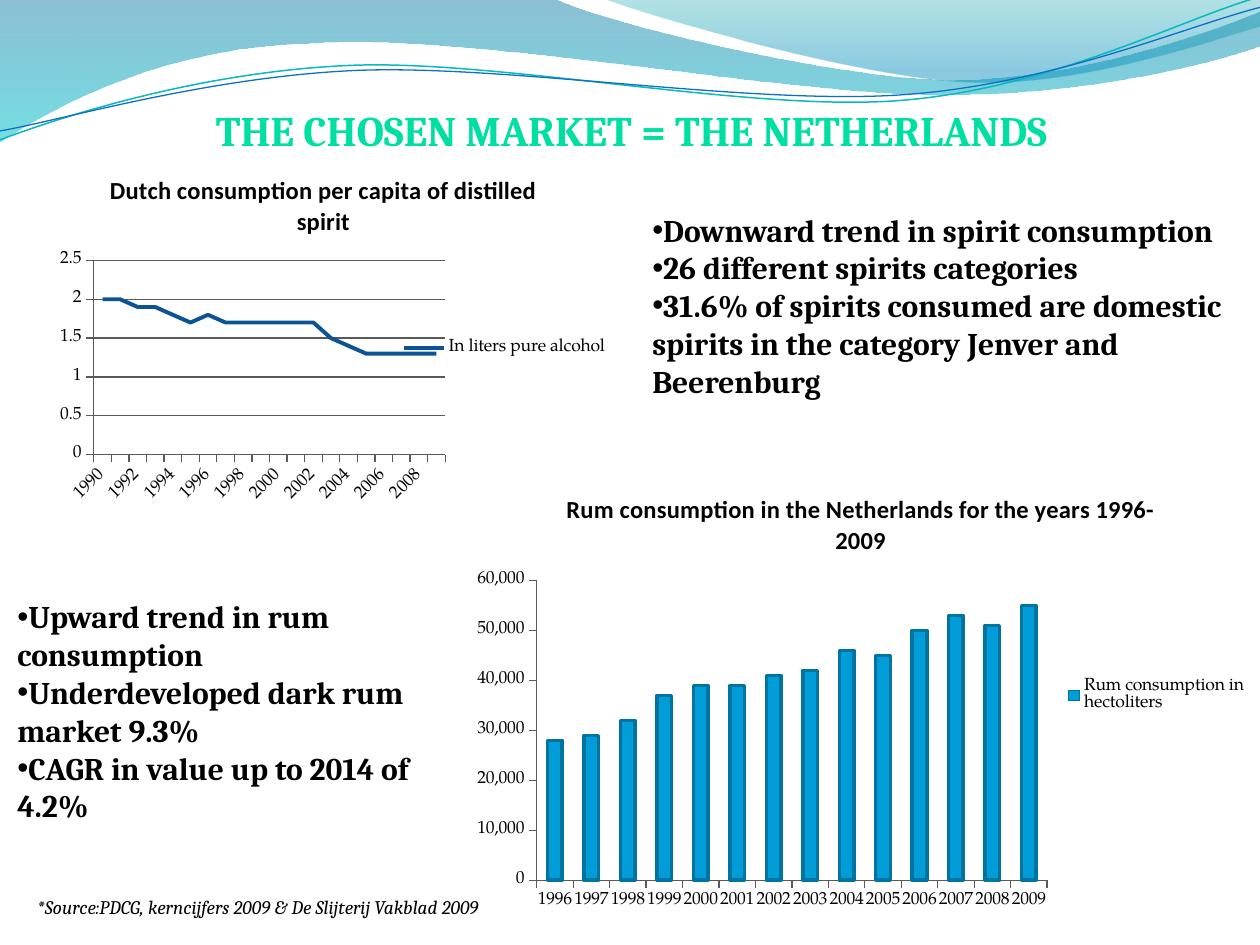
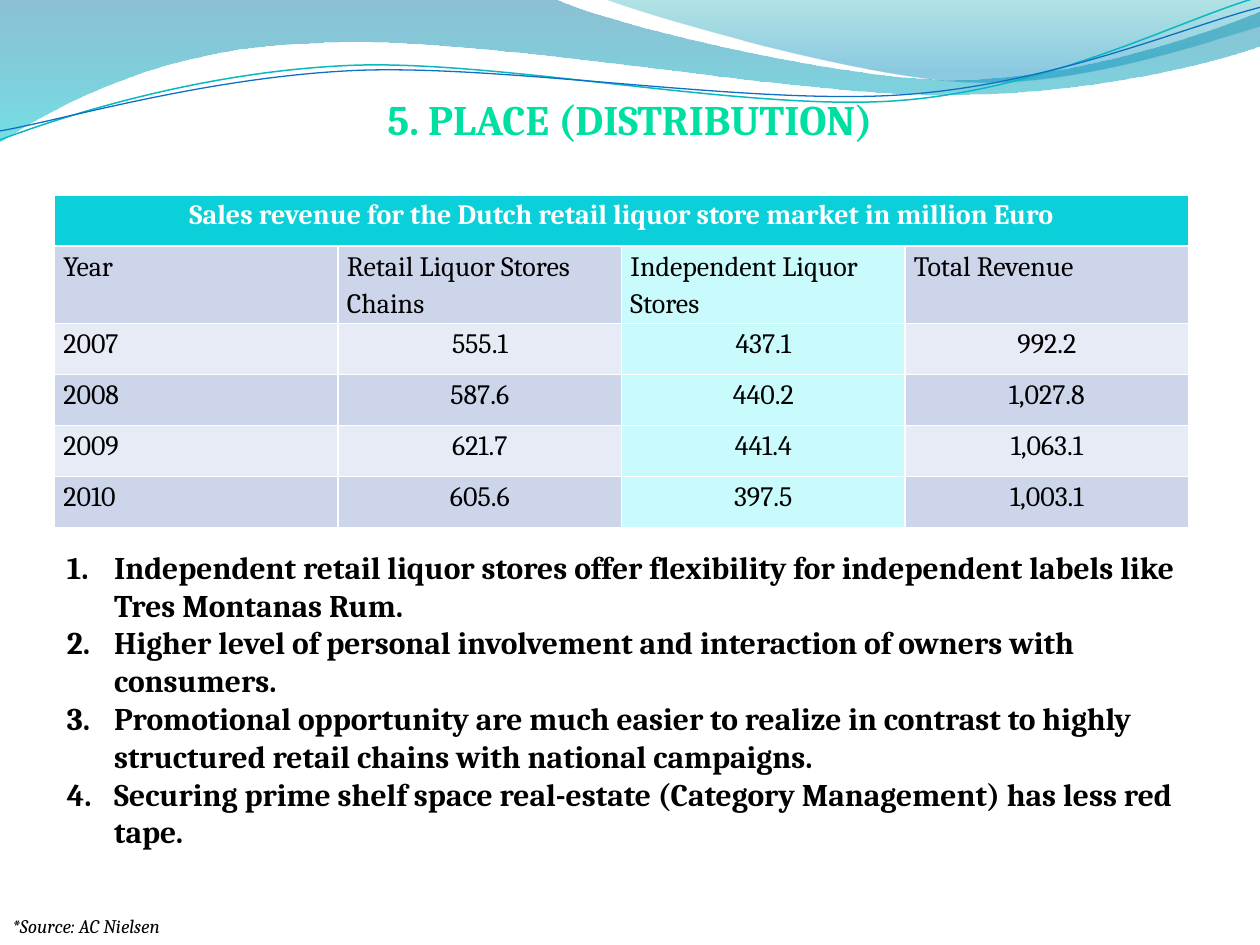
from dataclasses import dataclass

from lxml.etree import SubElement
from pptx import Presentation
from pptx.chart.data import CategoryChartData
from pptx.dml.color import RGBColor
from pptx.enum.chart import XL_CHART_TYPE, XL_LEGEND_POSITION, XL_MARKER_STYLE, XL_TICK_MARK
from pptx.enum.text import MSO_ANCHOR, PP_ALIGN
from pptx.oxml.ns import qn
from pptx.util import Cm, Pt


@dataclass(frozen=True)
class Theme:
    serif: str = "Cambria"
    chart_font: str = "TeX Gyre Pagella"
    chart_title_font: str = "Calibri"
    bullet_font: str = "Arial"
    title_size: int = 24
    body_size: int = 18
    table_size: int = 16
    chart_title_size: int = 14
    source_size: int = 11
    chart_size: int = 10
    ink: str = "000000"
    white: str = "FFFFFF"
    title: str = "00DFA2"
    axis: str = "595959"
    line_series: str = "0B5394"
    bar: str = "009DD9"
    bar_edge: str = "0074A1"
    header: str = "0BD0D9"
    dark_row: str = "CCD5EA"
    light_row: str = "E7EBF5"
    highlight: str = "C9FAFC"


THEME = Theme()
SLIDE_WIDTH, SLIDE_HEIGHT = 25.4, 19.05

# Outlines in cm: a pair is a straight step, three pairs are a Bezier step.
BANDS = [
    {
        "start": (0, 0),
        "steps": [
            [(11.18, -0.03)],
            [(12.09, 0.43), (16.87, 1.6), (19.25, 1.6)],
            [(21.67, 1.6), (24.33, 0.66), (25.4, 0.23)],
            [(25.43, 0.91)],
            [(24.97, 1.12), (22.1, 1.93), (18.95, 1.91)],
            [(15.8, 1.91), (9.7, 0.71), (6.53, 0.86)],
            [(3.28, 0.91), (1.17, 2.11), (-0.03, 2.87)],
        ],
        "stops": [(0, "0074A1", 45), (1, "00C6CF", 55)],
    },
    {
        "start": (12.17, -0.03),
        "steps": [
            [(12.93, 0.28), (17.32, 1.57), (19.53, 1.65)],
            [(21.74, 1.75), (24.41, 0.81), (25.4, 0.53)],
            [(25.4, 0)],
        ],
        "stops": [(0, "00A1A9", 30), (0.8, "008BBF", 45)],
    },
]
WAVES = [
    {
        "start": (0, 2.82),
        "steps": [
            [(1.22, 2.36), (4.01, 1.45), (7.04, 1.32)],
            [(10.03, 1.19), (15.06, 2.26), (18.11, 2.03)],
            [(21.16, 1.8), (23.83, 0.38), (25.35, -0.05)],
        ],
        "color": "0AB8BF", "width": 0.85,
    },
    {
        "start": (0, 2.64),
        "steps": [
            [(1.19, 2.44), (4.17, 1.55), (7.19, 1.42)],
            [(10.24, 1.3), (15.16, 2.13), (18.21, 1.91)],
            [(21.23, 1.7), (23.9, 0.53), (25.4, 0.15)],
        ],
        "color": "0F6FC6", "width": 0.75,
    },
]

MARKET_TITLE = "THE CHOSEN MARKET = THE NETHERLANDS"
SPIRIT_POINTS = [
    "Downward trend in spirit consumption",
    "26 different spirits categories",
    "31.6% of spirits consumed are domestic spirits in the category Jenver and Beerenburg",
]
RUM_POINTS = [
    "Upward trend in rum consumption",
    "Underdeveloped dark rum market 9.3%",
    "CAGR in value up to 2014 of 4.2%",
]
MARKET_SOURCE = "*Source:PDCG, kerncijfers 2009 & De Slijterij Vakblad 2009"
SPIRIT_CONSUMPTION = {
    "title": "Dutch consumption per capita of distilled spirit",
    "series": "In liters pure alcohol",
    "first_year": 1990,
    "values": [2, 2, 1.9, 1.9, 1.8, 1.7, 1.8, 1.7, 1.7, 1.7,
               1.7, 1.7, 1.7, 1.5, 1.4, 1.3, 1.3, 1.3, 1.3, 1.3],
    "format": "General",
}
RUM_CONSUMPTION = {
    "title": "Rum consumption in the Netherlands for the years 1996-2009",
    "series": "Rum consumption in hectoliters",
    "first_year": 1996,
    "values": [28000, 29000, 32000, 37000, 39000, 39000, 41000,
               42000, 46000, 45000, 50000, 53000, 51000, 55000],
    "format": "#,##0",
}

PLACE_TITLE = "5. PLACE (DISTRIBUTION)"
REVENUE_HEADING = "Sales revenue for the Dutch retail liquor store market in million Euro"
REVENUE_ROWS = [
    ("Year", "Retail Liquor Stores Chains", "Independent Liquor Stores", "Total Revenue"),
    ("2007", "555.1", "437.1", "992.2"),
    ("2008", "587.6", "440.2", "1,027.8"),
    ("2009", "621.7", "441.4", "1,063.1"),
    ("2010", "605.6", "397.5", "1,003.1"),
]
INDEPENDENT_COLUMN = 2
STORE_ADVANTAGES = [
    "Independent retail liquor stores offer flexibility for independent labels like Tres Montanas Rum.",
    "Higher level of personal involvement and interaction of owners with consumers.",
    "Promotional opportunity are much easier to realize in contrast to highly structured "
    "retail chains with national campaigns.",
    "Securing prime shelf space real-estate (Category Management) has less red tape.",
]
PLACE_SOURCE = "*Source: AC Nielsen"


def rgb(color):
    return RGBColor.from_string(color)


def set_font(font, size, color=THEME.ink, name=THEME.serif, bold=False, italic=False):
    font.name, font.size, font.bold, font.italic = name, Pt(size), bold, italic
    font.color.rgb = rgb(color)


def add_outline(slide, outline, close):
    """Draw straight segments through all points, then turn each triple into one curve."""
    steps = outline["steps"]
    builder = slide.shapes.build_freeform(*map(Cm, outline["start"]))
    builder.add_line_segments([(Cm(x), Cm(y)) for step in steps for x, y in step], close=close)
    shape = builder.convert_to_shape()
    shape.shadow.inherit = False
    segments = iter(list(shape.element.spPr.iter(qn("a:lnTo"))))
    for step in steps:
        first, *others = [next(segments) for _ in step]
        if others:
            first.tag = qn("a:cubicBezTo")
            for segment in others:
                first.append(segment[0])
                segment.getparent().remove(segment)
    return shape


def add_waves(slide):
    for band in BANDS:
        shape = add_outline(slide, band, close=True)
        shape.line.fill.background()
        shape.fill.gradient()
        shape.fill.gradient_angle = 270
        for stop, (position, color, _) in zip(shape.fill.gradient_stops, band["stops"]):
            stop.position = position
            stop.color.rgb = rgb(color)
        colors = shape.element.spPr.iter(qn("a:srgbClr"))
        for color, (_, _, opacity) in zip(colors, band["stops"]):
            SubElement(color, qn("a:alpha"), val=str(opacity * 1000))
    for wave in WAVES:
        shape = add_outline(slide, wave, close=False)
        shape.fill.background()
        shape.line.color.rgb = rgb(wave["color"])
        shape.line.width = Pt(wave["width"])


def add_text(slide, box, lines, size, markers=(), indent=0, **style):
    """Add a text box; markers are the tags and attributes of its bullet elements."""
    frame = slide.shapes.add_textbox(*map(Cm, box)).text_frame
    frame.word_wrap = True
    frame.text = "\n".join(lines)
    for paragraph in frame.paragraphs:
        if markers:
            properties = paragraph._p.get_or_add_pPr()
            properties.set("marL", str(Cm(indent)))
            properties.set("indent", str(-Cm(indent)))
            for tag, attributes in markers:
                SubElement(properties, qn(tag), **attributes)
        set_font(paragraph.font, size, **style)
        for run in paragraph.runs:
            set_font(run.font, size, **style)
    return frame


def add_bullets(slide, box, points):
    markers = [("a:buFont", {"typeface": THEME.bullet_font}), ("a:buChar", {"char": "•"})]
    add_text(slide, box, points, THEME.body_size, markers, bold=True)


def add_source(slide, left, top, source):
    add_text(slide, (left, top, 18.2, 0.74), [source], THEME.source_size, italic=True)


def start_slide(deck, title, left, bottom):
    slide = deck.slides.add_slide(deck.slide_layouts[6])
    add_waves(slide)
    frame = add_text(slide, (left, 0, 22.86, bottom), [title], THEME.title_size,
                     color=THEME.title, bold=True)
    frame.vertical_anchor = MSO_ANCHOR.BOTTOM
    frame.margin_left = frame.margin_right = frame.margin_bottom = 0
    frame.paragraphs[0].alignment = PP_ALIGN.CENTER
    return slide


def add_consumption_chart(slide, box, kind, consumption, gridlines):
    values = consumption["values"]
    first = consumption["first_year"]
    data = CategoryChartData(number_format=consumption["format"])
    data.categories = [str(first + i) for i in range(len(values))]
    data.add_series(consumption["series"], values)
    chart = slide.shapes.add_chart(kind, *map(Cm, box), data).chart
    set_font(chart.font, THEME.chart_size, name=THEME.chart_font)
    chart.has_title = True
    heading = chart.chart_title.text_frame
    heading.text = consumption["title"]
    set_font(heading.paragraphs[0].runs[0].font, THEME.chart_title_size,
             name=THEME.chart_title_font, bold=True)
    chart.has_legend = True
    chart.legend.position = XL_LEGEND_POSITION.RIGHT
    chart.legend.include_in_layout = False
    for axis in (chart.category_axis, chart.value_axis):
        axis.major_tick_mark = XL_TICK_MARK.OUTSIDE
        axis.format.line.color.rgb = rgb(THEME.axis)
    chart.value_axis.has_major_gridlines = gridlines
    if gridlines:
        chart.value_axis.major_gridlines.format.line.color.rgb = rgb(THEME.axis)
    labels = chart.value_axis.tick_labels
    labels.number_format, labels.number_format_is_linked = consumption["format"], False
    chart.plots[0].vary_by_categories = False
    return chart


def fix_layout(part, **settings):
    """Place a chart part by hand, in fractions of the chart."""
    layout = part.find(qn("c:layout"))
    if layout is None:
        layout = SubElement(part, qn("c:layout"))
        part.insert(0, layout)
    manual = SubElement(layout, qn("c:manualLayout"))
    for tag, value in settings.items():
        SubElement(manual, qn(f"c:{tag}"), val=str(value))


def fill_cell(cell, text, fill, centred, **style):
    cell.margin_left = cell.margin_right = Cm(0.18)
    cell.margin_top = cell.margin_bottom = 0
    cell.fill.solid()
    cell.fill.fore_color.rgb = rgb(fill)
    cell.text_frame.text = text
    paragraph = cell.text_frame.paragraphs[0]
    paragraph.line_spacing = 1.15
    paragraph.alignment = PP_ALIGN.CENTER if centred else PP_ALIGN.LEFT
    set_font(paragraph.runs[0].font, THEME.table_size, **style)


def add_revenue_table(slide, left, top, column_width=5.715, row_height=1.03):
    columns, rows = len(REVENUE_ROWS[0]), len(REVENUE_ROWS) + 1
    table = slide.shapes.add_table(rows, columns, Cm(left), Cm(top), Cm(column_width * columns),
                                   Cm(row_height * rows)).table
    table.cell(0, 0).merge(table.cell(0, columns - 1))
    fill_cell(table.cell(0, 0), REVENUE_HEADING, THEME.header, True,
              color=THEME.white, bold=True)
    for r, row in enumerate(REVENUE_ROWS, start=1):
        row_fill = THEME.dark_row if r % 2 else THEME.light_row
        for c, value in enumerate(row):
            fill = THEME.highlight if c == INDEPENDENT_COLUMN else row_fill
            fill_cell(table.cell(r, c), value, fill, centred=r > 1 and c > 0)


def build_market(deck):
    slide = start_slide(deck, MARKET_TITLE, 1.3, 3.12)
    spirits = add_consumption_chart(slide, (0.71, 3.33, 11.81, 7.39), XL_CHART_TYPE.LINE,
                                    SPIRIT_CONSUMPTION, gridlines=True)
    fix_layout(spirits.chart_title._element, xMode="edge", yMode="edge", x=0.12, y=0.01)
    fix_layout(spirits._chartSpace.chart.plotArea, layoutTarget="inner", xMode="edge",
               yMode="edge", x=0.1, y=0.26, w=0.6, h=0.53)
    trend = spirits.plots[0].series[0]
    trend.smooth = False
    trend.marker.style = XL_MARKER_STYLE.NONE
    trend.format.line.color.rgb = rgb(THEME.line_series)
    trend.format.line.width = Pt(2.25)

    rum = add_consumption_chart(slide, (9.3, 9.52, 16.1, 9), XL_CHART_TYPE.COLUMN_CLUSTERED,
                                RUM_CONSUMPTION, gridlines=False)
    rum.plots[0].gap_width = 150
    bars = rum.plots[0].series[0].format
    bars.fill.solid()
    bars.fill.fore_color.rgb = rgb(THEME.bar)
    bars.line.color.rgb = rgb(THEME.bar_edge)
    bars.line.width = Pt(2)

    add_bullets(slide, (12.9, 4.12, 12.5, 4.11), SPIRIT_POINTS)
    add_bullets(slide, (0.1, 11.92, 9, 4.88), RUM_POINTS)
    add_source(slide, 0.5, 17.93, MARKET_SOURCE)


def build_place(deck):
    slide = start_slide(deck, PLACE_TITLE, 1.27, 2.9)
    add_revenue_table(slide, 1.1, 3.93)
    add_text(slide, (1.1, 10.92, 23.6, 6.4), STORE_ADVANTAGES, THEME.body_size,
             [("a:buAutoNum", {"type": "arabicPeriod"})], indent=0.95, bold=True)
    add_source(slide, 0, 18.31, PLACE_SOURCE)


def main():
    deck = Presentation()
    deck.slide_width, deck.slide_height = Cm(SLIDE_WIDTH), Cm(SLIDE_HEIGHT)
    build_market(deck)
    build_place(deck)
    deck.save("out.pptx")


if __name__ == "__main__":
    main()
